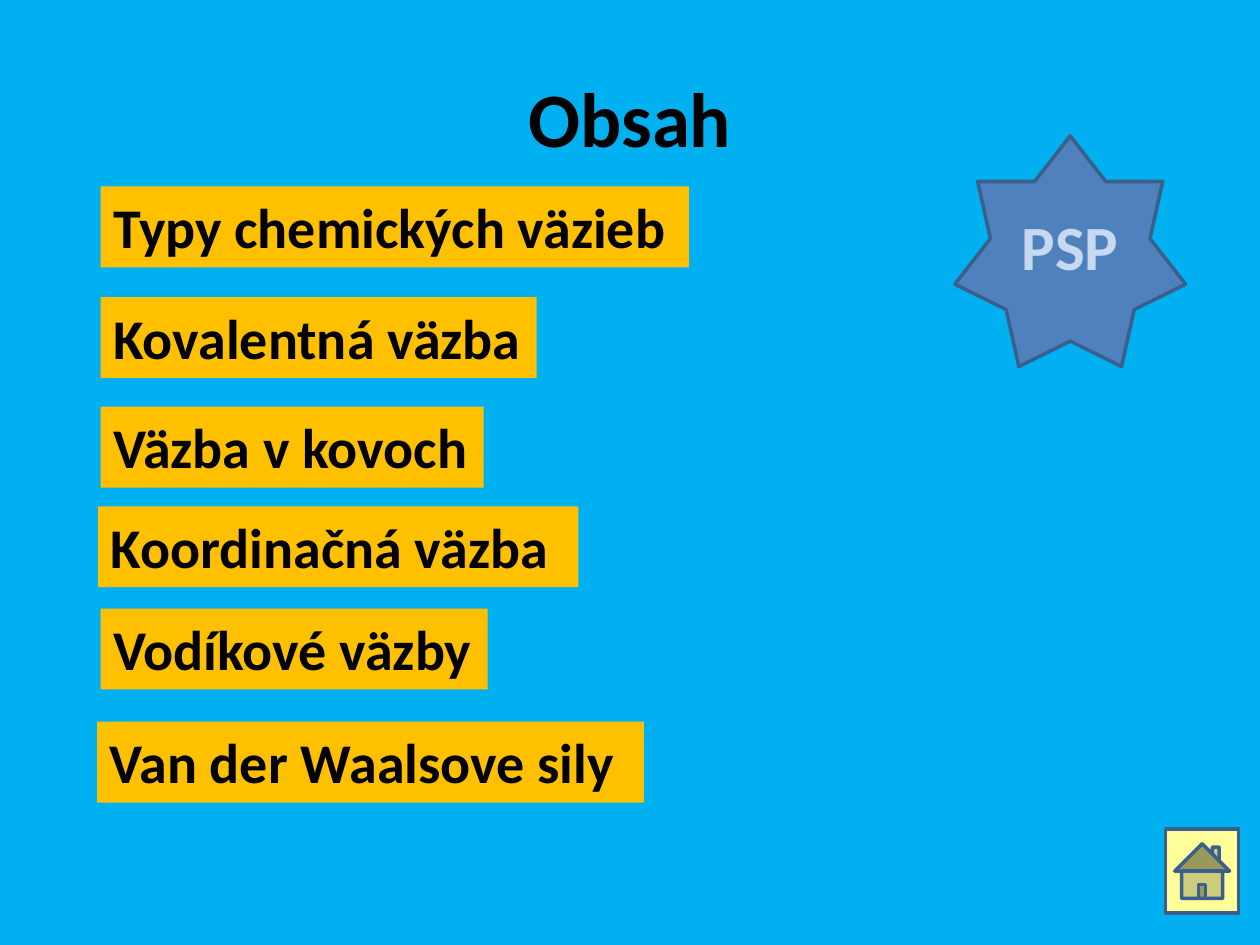
import dataclasses

import pptx
import pptx.dml.color
import pptx.enum.shapes
import pptx.enum.text
import pptx.util

Cm = pptx.util.Cm
Pt = pptx.util.Pt
Color = pptx.dml.color.RGBColor.from_string
Shape = pptx.enum.shapes.MSO_SHAPE
Align = pptx.enum.text.PP_ALIGN
Anchor = pptx.enum.text.MSO_ANCHOR


@dataclasses.dataclass(frozen=True)
class Theme:
    """Colours, type sizes and font of the deck."""
    font: str = "Calibri"
    background: str = "00B0F0"
    text: str = "000000"
    entry: str = "FFC000"
    star: str = "4F81BD"
    star_text: str = "C6D9F1"
    home: str = "FFFF99"
    outline: str = "3A5F8C"
    title_size: int = 44
    entry_size: int = 32
    star_size: int = 36


THEME = Theme()
ENTRIES = [
    ("Typy chemických väzieb", 0.07, 0, 11.86),
    ("Kovalentná väzba", 0.07, 2.23, 8.79),
    ("Väzba v kovoch", 0.07, 4.44, 7.72),
    ("Koordinačná väzba", 0.02, 6.45, 9.68),
    ("Vodíkové väzby", 0.07, 8.51, 7.8),
    ("Van der Waalsove sily", 0, 10.79, 11.02),
]


def write(box, text, size, color, align, anchor):
    """Put one bold paragraph into a box."""
    frame = box.text_frame
    frame.word_wrap = True
    frame.vertical_anchor = anchor
    para = frame.paragraphs[0]
    para.text = text
    para.alignment = align
    para.font.name = THEME.font
    para.font.size = Pt(size)
    para.font.bold = True
    para.font.color.rgb = Color(color)


def add_filled(page, kind, left, top, width, height, fill, outline=None):
    """Add a flat preset shape with an optional outline."""
    box = page.shapes.add_shape(kind, Cm(left), Cm(top), Cm(width), Cm(height))
    box.shadow.inherit = False
    box.fill.solid()
    box.fill.fore_color.rgb = Color(fill)
    if outline:
        box.line.color.rgb = Color(outline)
        box.line.width = Pt(2)
    else:
        box.line.fill.background()
    return box


def add_title(page, left, top, width, height):
    """Add the centred slide title."""
    box = page.shapes.add_textbox(Cm(left), Cm(top), Cm(width), Cm(height))
    write(box, "Obsah", THEME.title_size, THEME.text, Align.CENTER, Anchor.MIDDLE)


def add_contents(page, left, top, height):
    """Add the list of topics, each in its own bar."""
    for text, indent, drop, width in ENTRIES:
        bar = add_filled(page, Shape.RECTANGLE, left + indent, top + drop,
                         width, height, THEME.entry)
        bar.text_frame.margin_right = 0
        write(bar, text, THEME.entry_size, THEME.text, Align.LEFT, Anchor.TOP)


def add_star(page, left, top, size):
    """Add the labelled seven-pointed star."""
    star = add_filled(page, Shape.STAR_7_POINT, left, top, size, size,
                      THEME.star, THEME.outline)
    write(star, "PSP", THEME.star_size, THEME.star_text, Align.CENTER, Anchor.MIDDLE)


def add_home_button(page, left, top, width, height):
    """Add the home button."""
    add_filled(page, Shape.ACTION_BUTTON_HOME, left, top, width, height,
               THEME.home, THEME.outline)


def main():
    """Build and save the contents slide."""
    deck = pptx.Presentation()
    deck.slide_width = Cm(25.4)
    deck.slide_height = Cm(19.05)
    page = deck.slides.add_slide(deck.slide_layouts[6])
    page.background.fill.solid()
    page.background.fill.fore_color.rgb = Color(THEME.background)
    add_title(page, 1.27, 0.76, 22.86, 3.18)
    add_contents(page, 1.96, 3.76, 1.63)
    add_star(page, 19.25, 2.74, 4.65)
    add_home_button(page, 23.5, 16.71, 1.47, 1.7)
    deck.save("out.pptx")


if __name__ == "__main__":
    main()
